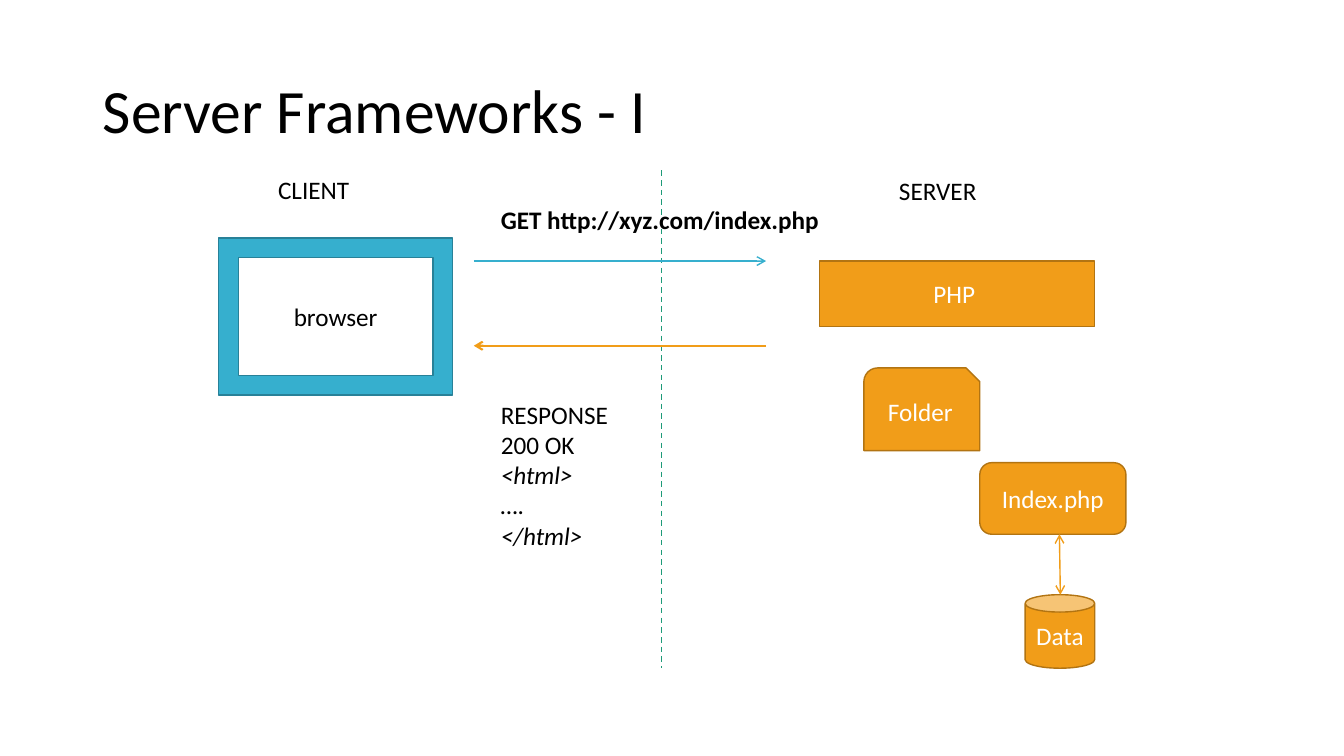
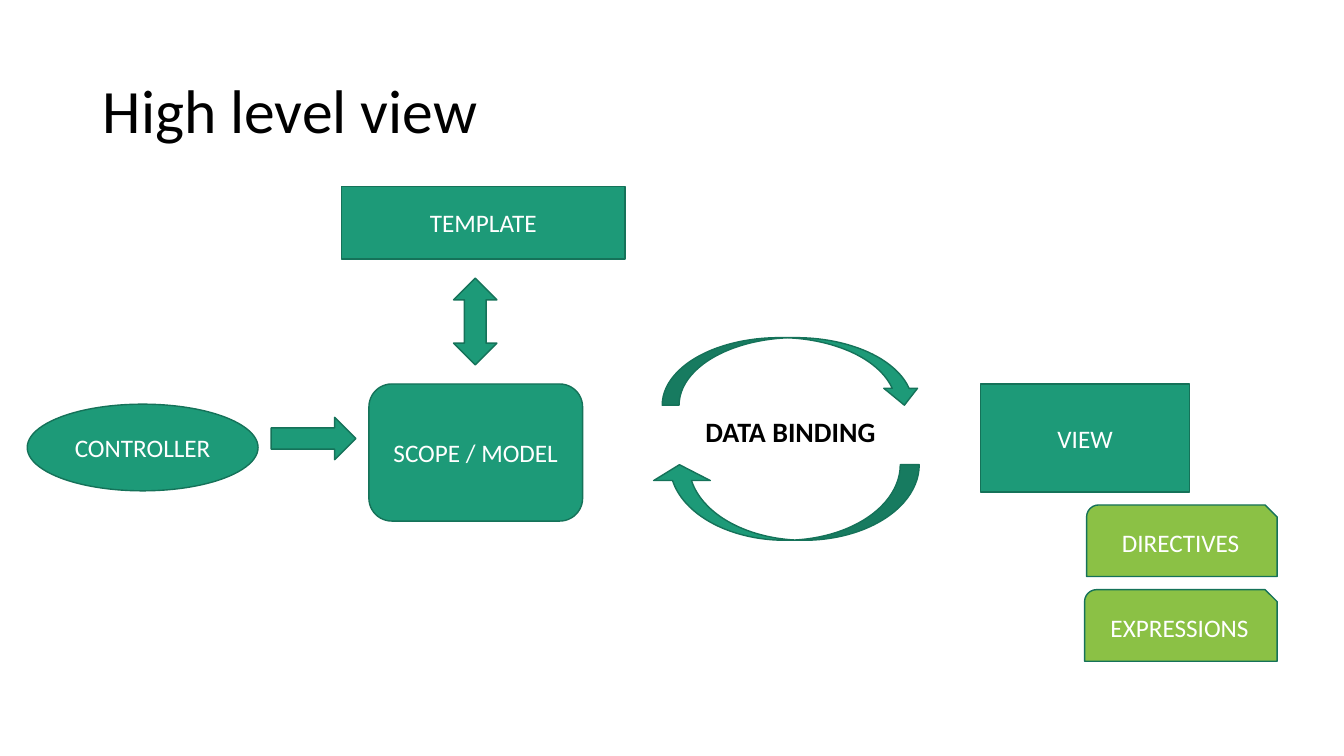
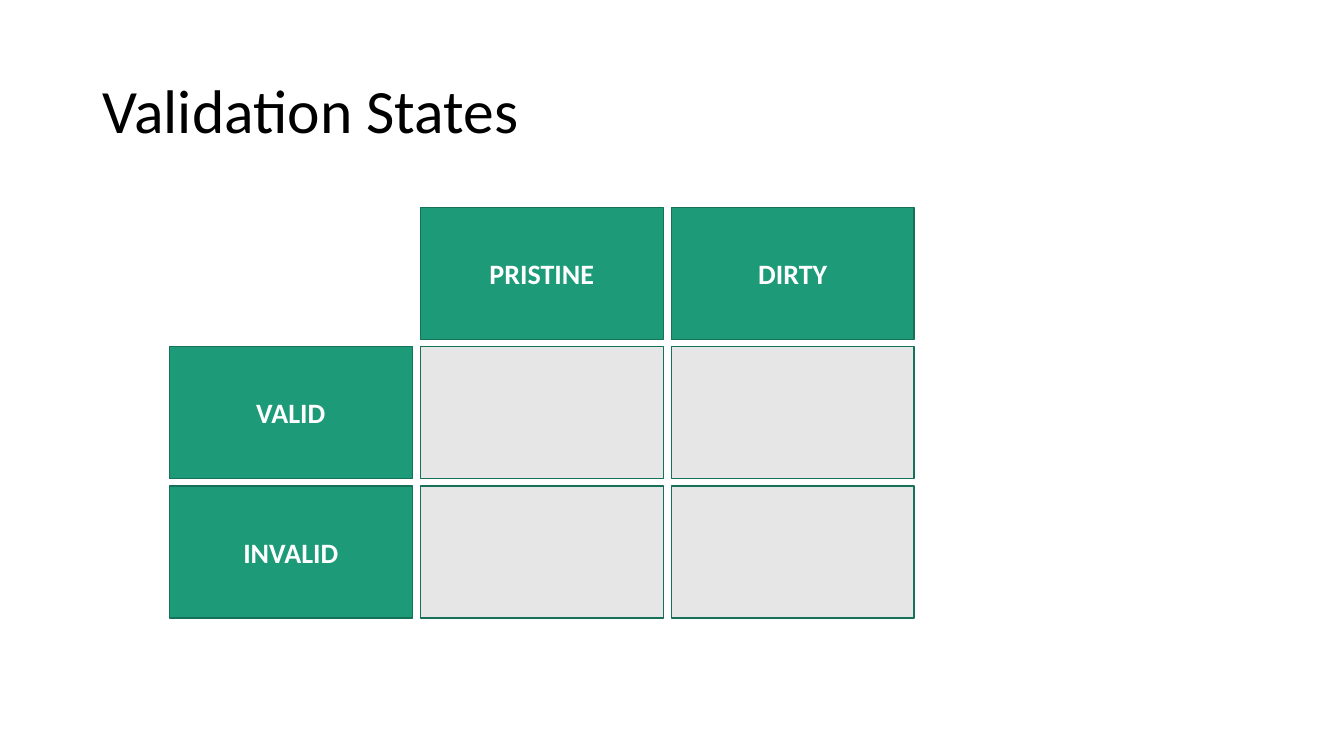
from lxml import etree
from pptx import Presentation
from pptx import util as u
from pptx.dml import color
from pptx.enum import dml, shapes, text
from pptx.oxml import ns

Inches, Pt = u.Inches, u.Pt
rgb = color.RGBColor.from_string
Kind = shapes.MSO_SHAPE
FONT = "Calibri"
BLACK, WHITE, GREY = "000000", "FFFFFF", "E7E6E6"
ORANGE, RUST = "F19D19", "B27412"
BLUE, NAVY = "36AFCE", "288198"
GREEN, PINE, LIME = "1D9A78", "157259", "8BC145"


def box(slide, kind, place, fill, edge, words="", ink=WHITE, size=18, bold=False):
    shape = slide.shapes.add_shape(kind, *map(Inches, place))
    shape.shadow.inherit = False
    shape.fill.solid()
    shape.fill.fore_color.rgb = rgb(fill)
    shape.line.color.rgb = rgb(edge)
    shape.line.width = Pt(1)
    if words:
        shape.text_frame.text = words
        para = shape.text_frame.paragraphs[0]
        para.alignment = text.PP_ALIGN.CENTER
        font = para.runs[0].font
        font.name, font.size, font.bold = FONT, Pt(size), bold
        font.color.rgb = rgb(ink)
    return shape


def note(slide, place, words, wrap=False, size=18, bold=False):
    frame = slide.shapes.add_textbox(*map(Inches, place)).text_frame
    frame.word_wrap = wrap
    frame.auto_size = text.MSO_AUTO_SIZE.SHAPE_TO_FIT_TEXT
    frame.text = words
    for para in frame.paragraphs:
        font = para.runs[0].font
        font.name, font.size, font.bold = FONT, Pt(size), bold
        font.color.rgb = rgb(BLACK)
    return frame


deck = Presentation()
deck.slide_width, deck.slide_height = Inches(40) // 3, Inches(7.5)
layout = deck.slide_layouts[5]
head = layout.placeholders[0]
head.left, head.top = Inches(0.92), Inches(0.4)
head.width, head.height = Inches(11.5), Inches(1.45)

slides = []
for words in ("Server Frameworks - I", "High level view", "Validation States"):
    slide = deck.slides.add_slide(layout)
    frame = slide.shapes.title.text_frame
    frame.text = words
    frame.vertical_anchor = text.MSO_ANCHOR.MIDDLE
    para = frame.paragraphs[0]
    para.alignment = text.PP_ALIGN.LEFT
    para.line_spacing = 0.9
    font = para.runs[0].font
    font.name, font.size = FONT, Pt(44)
    font.color.rgb = rgb(BLACK)
    slides.append(slide)
server, view, states = slides

for kind, place, words in (
    (Kind.RECTANGLE, (8.13, 2.59, 2.73, 0.65), "PHP "),
    (Kind.SNIP_ROUND_RECTANGLE, (8.57, 3.65, 1.15, 0.82), "Folder"),
    (Kind.ROUNDED_RECTANGLE, (9.72, 4.59, 1.45, 0.71), "Index.php"),
    (Kind.CAN, (10.17, 5.9, 0.69, 0.73), "Data"),
):
    box(server, kind, place, ORANGE, RUST, words)
box(server, Kind.FRAME, (2.17, 2.36, 2.32, 1.56), BLUE, NAVY, "browser", BLACK)

for ends, hue, width, dash, tips in (
    ((6.56, 1.69, 6.56, 6.63), GREEN, 1, True, ()),
    ((4.7, 2.59, 7.6, 2.59), BLUE, 1, False, ("a:tailEnd",)),
    ((7.6, 3.43, 4.7, 3.43), ORANGE, 1.5, False, ("a:tailEnd",)),
    ((10.51, 5.3, 10.52, 5.9), ORANGE, 1, False, ("a:headEnd", "a:tailEnd")),
):
    link = server.shapes.add_connector(shapes.MSO_CONNECTOR.STRAIGHT, *map(Inches, ends))
    link.line.color.rgb = rgb(hue)
    link.line.width = Pt(width)
    if dash:
        link.line.dash_style = dml.MSO_LINE.DASH
    props = link.element.spPr
    for tip in tips:
        etree.SubElement(props.find(ns.qn("a:ln")), ns.qn(tip), type="arrow")
    etree.SubElement(props, ns.qn("a:effectLst"))

note(server, (2.66, 1.68, 0.92, 0.4), "CLIENT")
note(server, (8.82, 1.69, 0.99, 0.4), "SERVER")
note(server, (4.87, 1.98, 3.4, 0.4), "GET http://xyz.com/index.php", bold=True)
reply = note(server, (4.87, 3.91, 2.19, 1.62),
             "RESPONSE\n200 OK\n<html>\n….\n</html>", wrap=True)
for para in reply.paragraphs[2:]:
    para.runs[0].font.italic = True

for kind, place, fill, words in (
    (Kind.RECTANGLE, (3.39, 1.85, 2.81, 0.72), GREEN, "TEMPLATE"),
    (Kind.OVAL, (0.27, 4.01, 2.29, 0.86), GREEN, "CONTROLLER"),
    (Kind.ROUNDED_RECTANGLE, (3.66, 3.81, 2.12, 1.36), GREEN, "SCOPE / MODEL"),
    (Kind.RECTANGLE, (9.73, 3.81, 2.07, 1.07), GREEN, "VIEW"),
    (Kind.UP_DOWN_ARROW, (4.5, 2.76, 0.43, 0.86), GREEN, ""),
    (Kind.RIGHT_ARROW, (2.69, 4.14, 0.84, 0.42), GREEN, ""),
    (Kind.CURVED_DOWN_ARROW, (6.57, 3.35, 2.57, 0.67), GREEN, ""),
    (Kind.SNIP_ROUND_RECTANGLE, (10.78, 5.01, 1.89, 0.71), LIME, "DIRECTIVES"),
    (Kind.SNIP_ROUND_RECTANGLE, (10.76, 5.85, 1.91, 0.71), LIME, "EXPRESSIONS"),
):
    box(view, kind, place, fill, PINE, words)
back = box(view, Kind.CURVED_UP_ARROW, (6.46, 4.61, 2.66, 0.75), GREEN, PINE)
back.element.spPr.xfrm.set("flipH", "1")
for i, value in enumerate((0.25, 0.75, 0.21)):
    back.adjustments[i] = value
note(view, (6.9, 4.06, 2.08, 0.44), "DATA BINDING", wrap=True, size=20, bold=True)

grid = (("", "PRISTINE", "DIRTY"), ("VALID", "", ""), ("INVALID", "", ""))
for r, row in enumerate(grid):
    for c, words in enumerate(row):
        if r or c:
            place = (1.68 + 2.49 * c, 2.06 + 1.38 * r, 2.41, 1.31)
            fill = GREEN if words else GREY
            box(states, Kind.RECTANGLE, place, fill, PINE, words, size=20, bold=True)

deck.save("out.pptx")
